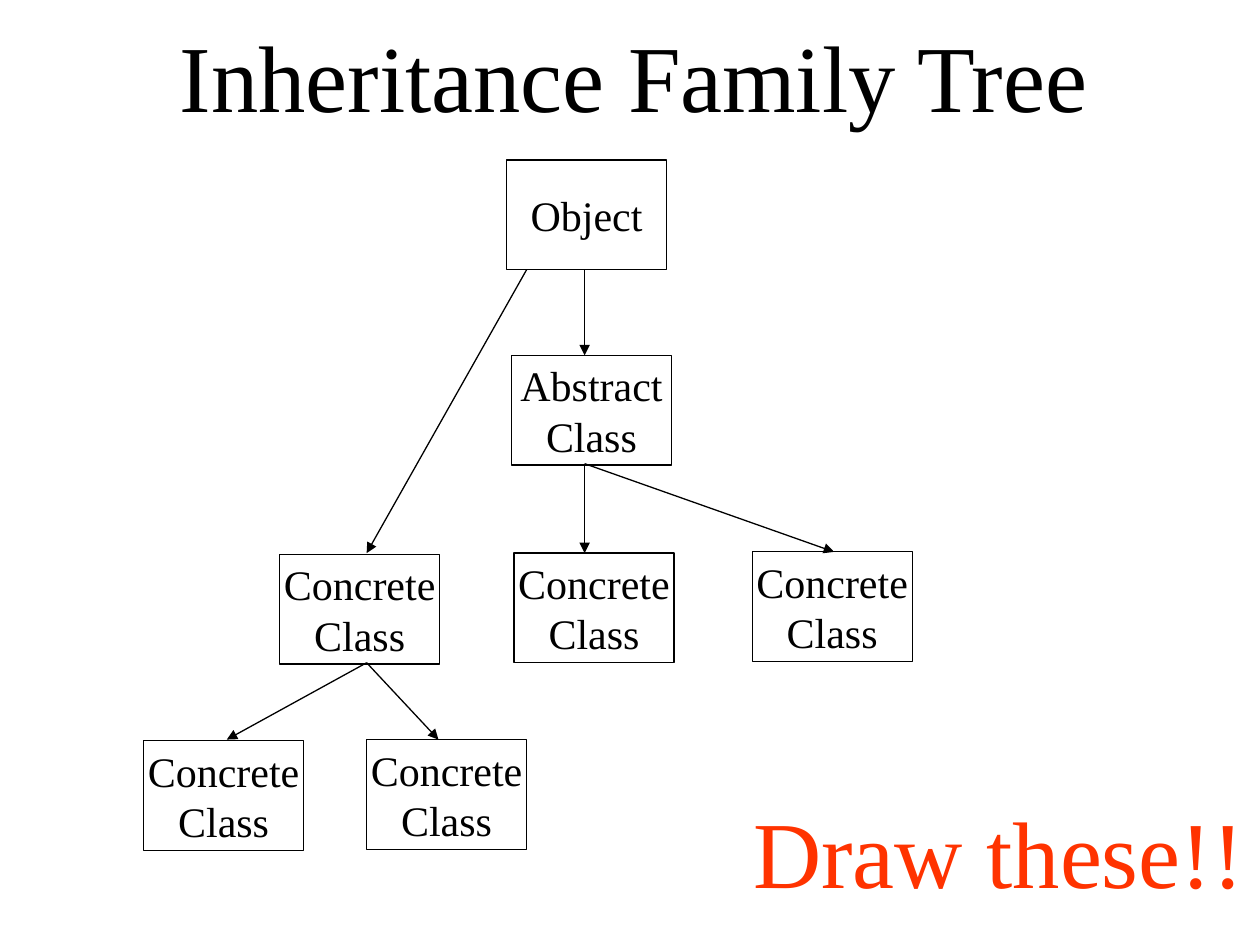
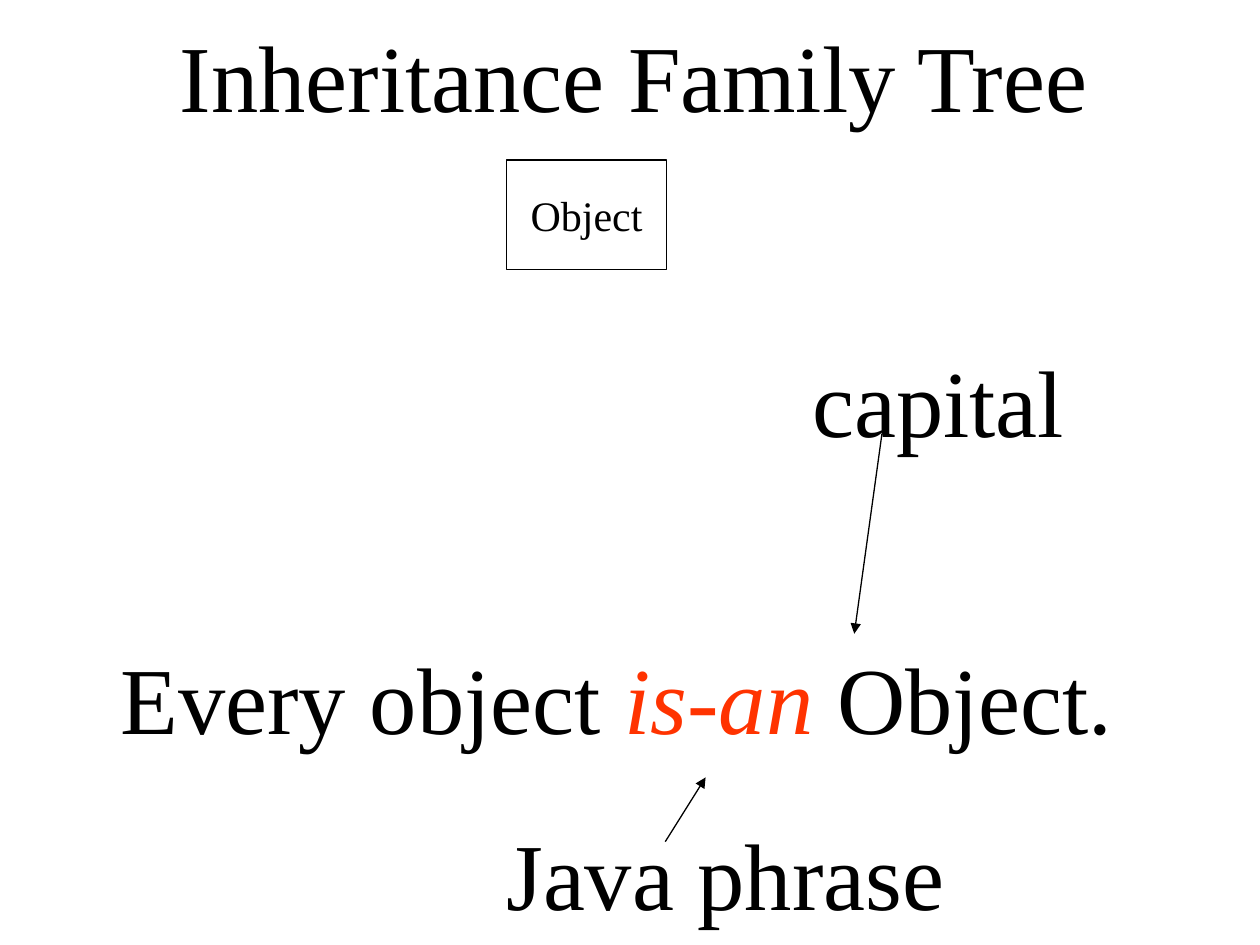
from lxml import etree
from pptx import Presentation
from pptx.dml.color import RGBColor
from pptx.enum.shapes import MSO_CONNECTOR, MSO_SHAPE
from pptx.enum.text import MSO_ANCHOR, MSO_AUTO_SIZE, PP_ALIGN
from pptx.oxml.ns import qn
from pptx.util import Emu, Pt

PX = 9144
BLACK = RGBColor(0x00, 0x00, 0x00)
RED = RGBColor(0xFF, 0x33, 0x00)
FONT = "Times New Roman"
CLASS_FORMAT = {"name": FONT, "size": Pt(24)}
LARGE_FORMAT = {"name": FONT, "size": Pt(54)}
LINE_WIDTH = Pt(0.75)
CLASS_SIZE = (127, 87)
LARGE_HEIGHT = 100
RECTANGLE = MSO_SHAPE.RECTANGLE
STRAIGHT = MSO_CONNECTOR.STRAIGHT
MIDDLE = MSO_ANCHOR.MIDDLE
CENTER = PP_ALIGN.CENTER
LARGE_FRAME = {
    "word_wrap": True,
    "margin_right": 0,
    "auto_size": MSO_AUTO_SIZE.SHAPE_TO_FIT_TEXT,
}

HEADER_ORIGIN = (133, 9)
TREE_ORIGIN = (114, 282)
REMINDER_ORIGIN = (588, 625)
STATEMENT_ORIGIN = (86, 267)

CHILD_CLASSES = [
    ("Abstract\nClass", 292, 0),
    ("Concrete\nClass", 108, 158),
    ("Concrete\nClass", 294, 157),
    ("Concrete\nClass", 483, 156),
    ("Concrete\nClass", 0, 306),
    ("Concrete\nClass", 177, 305),
]
TREE_ARROWS = [
    ((350, -68), (350, 0)),
    ((350, 86), (350, 157)),
    ((304, -68), (177, 157)),
    ((177, 244), (66, 305)),
    ((177, 244), (234, 305)),
    ((350, 86), (548, 156)),
]
STATEMENT_ARROWS = [((614, 77), (592, 236)), ((442, 401), (474, 350))]


def scale(*lengths):
    """Turn px lengths into EMU."""
    return [Emu(length * PX) for length in lengths]


def shift(origin, offset):
    """Return the point that lies at an offset from an origin."""
    return origin[0] + offset[0], origin[1] + offset[1]


def add_run(paragraph, text, text_format, color=BLACK, italic=False):
    """Add one formatted run to a paragraph."""
    run = paragraph.add_run()
    run.text = text
    for name, value in {**text_format, "italic": italic}.items():
        setattr(run.font, name, value)
    run.font.color.rgb = color


def add_large_text(slide, position, width, runs):
    """Add a single line of large text made of (text, color, italic) runs."""
    shape = slide.shapes.add_textbox(*scale(*position, width, LARGE_HEIGHT))
    frame = shape.text_frame
    for name, value in LARGE_FRAME.items():
        setattr(frame, name, value)
    for text, color, italic in runs:
        add_run(frame.paragraphs[0], text, LARGE_FORMAT, color, italic)


def add_class_box(slide, position, label):
    """Add an outlined class box with one centred paragraph per label line."""
    shape = slide.shapes.add_shape(RECTANGLE, *scale(*position, *CLASS_SIZE))
    shape.shadow.inherit = False
    shape.fill.background()
    shape.line.color.rgb = BLACK
    shape.line.width = LINE_WIDTH
    frame = shape.text_frame
    frame.word_wrap = False
    frame.vertical_anchor = MIDDLE
    for index, line in enumerate(label.split("\n")):
        paragraph = frame.add_paragraph() if index else frame.paragraphs[0]
        paragraph.alignment = CENTER
        add_run(paragraph, line, CLASS_FORMAT)


def add_arrows(slide, origin, arrows):
    """Add thin arrows between pairs of points relative to an origin."""
    for start, end in arrows:
        ends = scale(*shift(origin, start), *shift(origin, end))
        connector = slide.shapes.add_connector(STRAIGHT, *ends)
        connector.line.color.rgb = BLACK
        connector.line.width = LINE_WIDTH
        properties = connector._element.spPr
        line = properties.find(qn("a:ln"))
        etree.SubElement(line, qn("a:tailEnd"), type="triangle")
        etree.SubElement(properties, qn("a:effectLst"))


def add_header(slide, origin):
    """Add the shared title and the root class box."""
    add_large_text(slide, origin, 744, [("Inheritance Family Tree", BLACK, False)])
    add_class_box(slide, shift(origin, (269, 118)), "Object")


def add_descendants(slide, origin):
    """Add the classes below the root and their arrows."""
    for label, left, top in CHILD_CLASSES:
        add_class_box(slide, shift(origin, (left, top)), label)
    add_arrows(slide, origin, TREE_ARROWS)


def add_statement(slide, origin):
    """Add the is-an sentence with its two annotations."""
    sentence = [
        ("Every object ", BLACK, False),
        ("is-an", RED, True),
        (" Object.", BLACK, False),
    ]
    add_large_text(slide, shift(origin, (0, 236)), 807, sentence)
    add_large_text(slide, shift(origin, (549, 0)), 220, [("capital", BLACK, False)])
    add_large_text(slide, shift(origin, (306, 376)), 368, [("Java phrase", BLACK, False)])
    add_arrows(slide, origin, STATEMENT_ARROWS)


def add_slide(presentation):
    """Add a blank slide with the shared header."""
    slide = presentation.slides.add_slide(presentation.slide_layouts[6])
    add_header(slide, HEADER_ORIGIN)
    return slide


def main():
    """Build and save the presentation."""
    presentation = Presentation()
    presentation.slide_width, presentation.slide_height = scale(1000, 750)
    tree_slide = add_slide(presentation)
    add_descendants(tree_slide, TREE_ORIGIN)
    add_large_text(tree_slide, REMINDER_ORIGIN, 409, [("Draw these!!", RED, False)])
    add_statement(add_slide(presentation), STATEMENT_ORIGIN)
    presentation.save("out.pptx")


if __name__ == "__main__":
    main()
